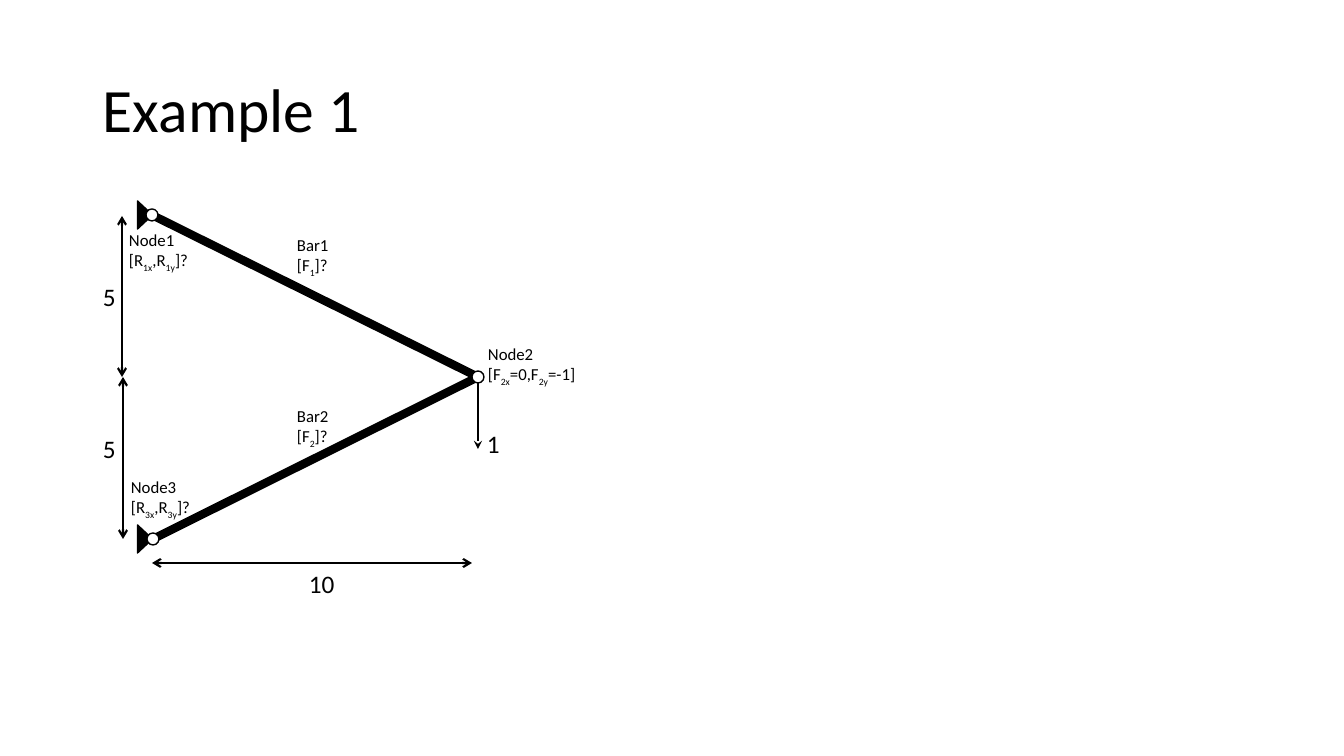
import pptx
import pptx.util
import pptx.dml.color
import pptx.enum.shapes
import pptx.enum.text
import pptx.oxml.ns
import lxml.etree

COLORS = {"ink": "000000", "paper": "FFFFFF"}
SCALE = 914400 / 100.8
SHAPES = pptx.enum.shapes.MSO_SHAPE
ANCHORS = pptx.enum.text.MSO_ANCHOR


def px(n):
    return pptx.util.Emu(round(n * SCALE))


def rgb(name):
    return pptx.dml.color.RGBColor.from_string(COLORS[name])


def sub(parent, tag, **attrs):
    return lxml.etree.SubElement(parent, pptx.oxml.ns.qn(tag), attrs)


class Sketch:
    font = "Calibri"

    def __init__(self, slide):
        self.slide = slide

    def shape(self, kind, center, size, fill, rotation=0):
        (x, y), (w, h) = center, size
        sp = self.slide.shapes.add_shape(kind, px(x - w / 2), px(y - h / 2), px(w), px(h))
        sp.shadow.inherit = False
        sp.rotation = rotation
        sp.fill.solid()
        sp.fill.fore_color.rgb = rgb(fill)
        sp.line.color.rgb = rgb("ink")
        sp.line.width = pptx.util.Pt(1)

    def line(self, start, end, width, head=None, tail=None):
        points = [px(n) for n in (*start, *end)]
        sp = self.slide.shapes.add_connector(pptx.enum.shapes.MSO_CONNECTOR.STRAIGHT, *points)
        sp.line.color.rgb = rgb("ink")
        sp.line.width = pptx.util.Pt(width)
        ln = sp.line._get_or_add_ln()
        for tag, kind in (("a:headEnd", head), ("a:tailEnd", tail)):
            if kind:
                sub(ln, tag, type=kind)
        sub(sp._element.spPr, "a:effectLst")

    def text(self, box, lines, size, anchor=ANCHORS.TOP, spacing=1.0):
        tf = self.slide.shapes.add_textbox(*[px(n) for n in box]).text_frame
        for name, value in {"word_wrap": True, "vertical_anchor": anchor}.items():
            setattr(tf, name, value)
        for i, line in enumerate(lines):
            p = tf.add_paragraph() if i else tf.paragraphs[0]
            p.line_spacing = spacing
            for j, part in enumerate(line.split("_")):
                r = p.add_run()
                r.text = part
                for name, value in {"name": self.font, "size": pptx.util.Pt(size)}.items():
                    setattr(r.font, name, value)
                r.font.color.rgb = rgb("ink")
                if j % 2:
                    r.font._element.set("baseline", "-25000")


prs = pptx.Presentation()
prs.slide_width, prs.slide_height = px(1344), px(756)
sketch = Sketch(prs.slides.add_slide(prs.slide_layouts[6]))

sketch.text((93, 40, 1159, 146), ["Example 1"], 44, ANCHORS.MIDDLE, 0.9)

node1, node2, node3 = (152, 215), (478, 377), (153, 539)
supports = (node1, node3)
for x, y in supports:
    sketch.shape(SHAPES.ISOSCELES_TRIANGLE, (145, y), (28, 15), "ink", 90)
for support in supports:
    sketch.line(support, node2, 6)
for node in (node1, node2, node3):
    sketch.shape(SHAPES.OVAL, node, (12, 12), "paper")

dimensions = [
    ((472, 563), (152, 563)),
    ((123, 539), (123, 377)),
    ((122, 377), (122, 216)),
]
for start, end in dimensions:
    sketch.line(start, end, 1.5, "arrow", "arrow")
sketch.line((478, 383), (478, 449), 2, tail="stealth")

values = [(93, 276, "5"), (93, 428, "5"), (299, 563, "10"), (477, 423, "1")]
for x, y, value in values:
    sketch.text((x, y, 52, 40), [value], 18)

labels = [
    (119, 225, 84, "Node1", "[R_1x_,R_1y_]?"),
    (478, 339, 131, "Node2", "[F_2x_=0,F_2y_=-1]"),
    (121, 472, 84, "Node3", "[R_3x_,R_3y_]?"),
    (287, 230, 78, "Bar1", "[F_1_]?"),
    (287, 401, 78, "Bar2", "[F_2_]?"),
]
for x, y, w, name, unknowns in labels:
    sketch.text((x, y, w, 50), [name, unknowns], 12)

prs.save("out.pptx")
